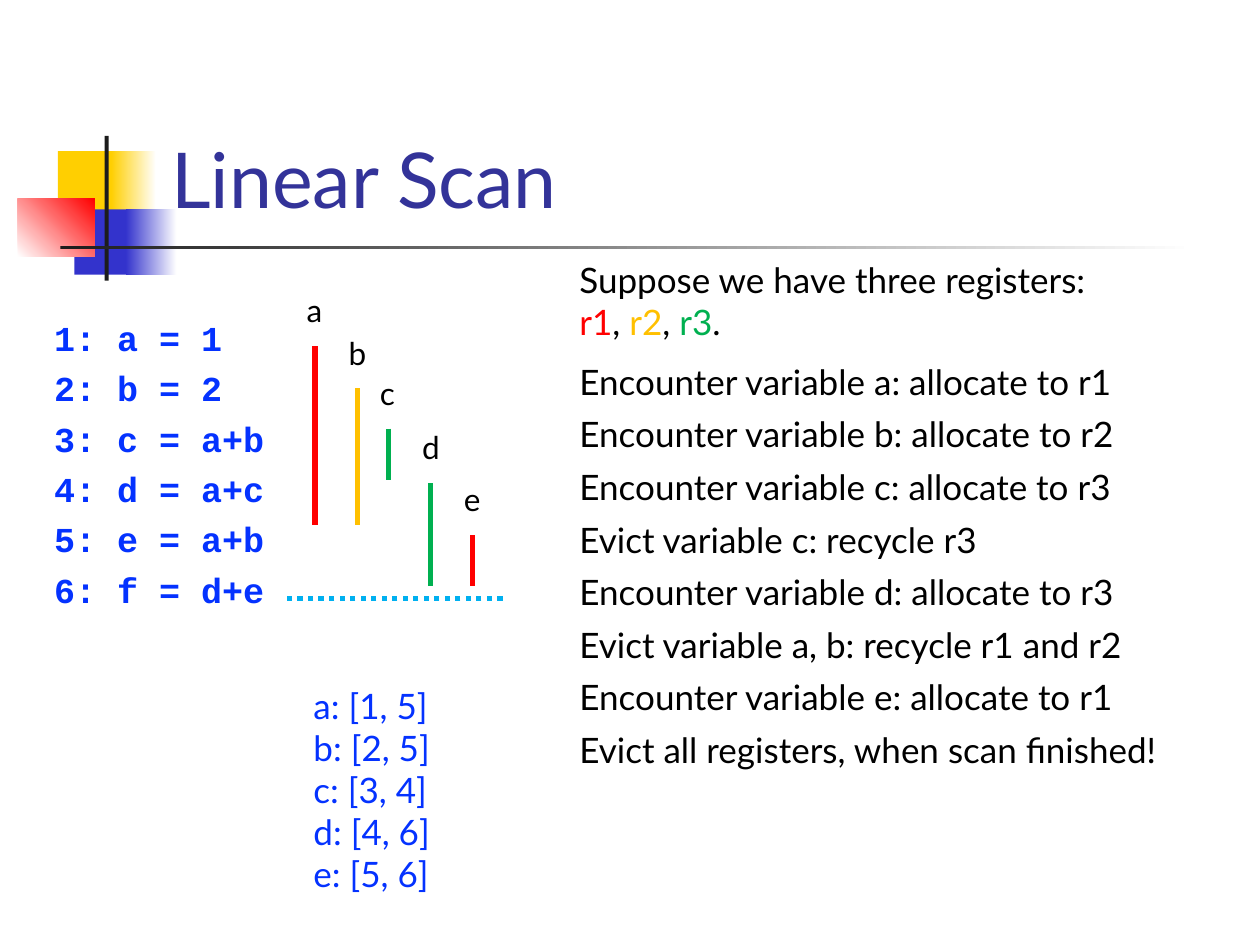
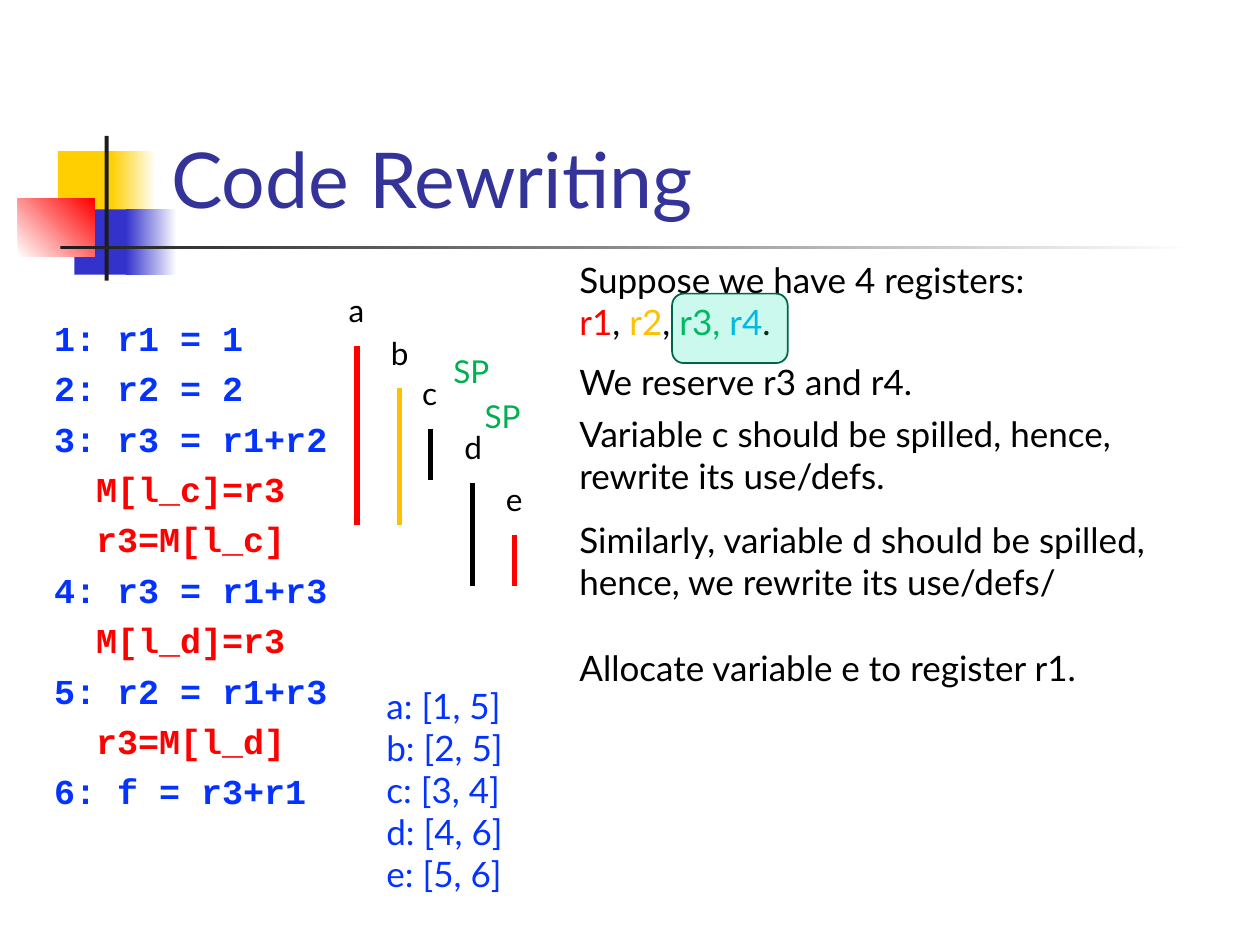
import lxml.etree
import pptx
import pptx.dml.color
import pptx.enum.dml
import pptx.enum.shapes
import pptx.enum.text
import pptx.oxml.ns
import pptx.util

Cm = pptx.util.Cm
Pt = pptx.util.Pt
RGBColor = pptx.dml.color.RGBColor
qn = pptx.oxml.ns.qn
Shapes = pptx.enum.shapes.MSO_SHAPE

BLACK = RGBColor(0x00, 0x00, 0x00)
WHITE = RGBColor(0xFF, 0xFF, 0xFF)
RED = RGBColor(0xFF, 0x00, 0x00)
AMBER = RGBColor(0xFF, 0xC0, 0x00)
GREEN = RGBColor(0x00, 0xB0, 0x50)
SKY = RGBColor(0x00, 0xB0, 0xF0)
CODE_BLUE = RGBColor(0x04, 0x32, 0xFF)
TITLE_BLUE = RGBColor(0x33, 0x33, 0x99)
BAND_YELLOW = RGBColor(0xFF, 0xCF, 0x01)
BAND_BLUE = RGBColor(0x33, 0x33, 0xCC)
BAND_DARK = RGBColor(0x1C, 0x1C, 0x1C)
MINT = RGBColor(0x00, 0xE4, 0xA8)
DARK_GREEN = RGBColor(0x00, 0x64, 0x4A)

TEXT_FONT = "Lato"
CODE_FONT = "Courier New"
STEP_LEFT, STEP_TOP, STEP_PITCH = 11.43, 7.14, 1.06
STEP_WIDTH = 13.41

BANDS = [
    (1.17, 3.05, 1.22, 1.32, [BAND_YELLOW], 0),
    (2.24, 3.05, 0.91, 1.32, [BAND_YELLOW, WHITE], 0),
    (1.5, 4.22, 1.17, 1.32, [BAND_BLUE], 0),
    (2.54, 4.22, 1.02, 1.32, [BAND_BLUE, WHITE], 0),
    (0.36, 4.01, 1.55, 1.17, [WHITE, RED], 45),
    (2.11, 2.74, 0.08, 2.92, [BAND_DARK], 0),
    (1.22, 4.95, 22.86, 0.08, [BAND_DARK, WHITE], 0),
]

LIFETIMES = [
    ("a", 6.35, 6.98, 10.58),
    ("b", 7.2, 7.83, 10.58),
    ("c", 7.83, 8.64, 9.67),
    ("d", 8.68, 9.74, 11.81),
    ("e", 9.52, 10.79, 11.81),
]
INTERVALS = ["a: [1, 5]", "b: [2, 5]", "c: [3, 4]", "d: [4, 6]", "e: [5, 6]"]


def add_block(page, kind, left, top, width, height):
    block = page.shapes.add_shape(kind, Cm(left), Cm(top), Cm(width), Cm(height))
    block.shadow.inherit = False
    return block


def add_bands(page, layout):
    for left, top, width, height, colors, angle in BANDS:
        band = add_block(page, Shapes.RECTANGLE, left, top, width, height)
        band.line.fill.background()
        if len(colors) == 1:
            band.fill.solid()
            band.fill.fore_color.rgb = colors[0]
        else:
            band.fill.gradient()
            band.fill.gradient_angle = angle
            for stop, color, position in zip(band.fill.gradient_stops, colors, (0, 1)):
                stop.color.rgb = color
                stop.position = position
        layout.shapes.element.append(band.element)


def set_font(paragraph, size, color, name=TEXT_FONT, bold=False):
    paragraph.font.name = name
    paragraph.font.size = Pt(size)
    paragraph.font.bold = bold
    paragraph.font.color.rgb = color


def add_page(deck, layout, title):
    page = deck.slides.add_slide(layout)
    box = page.shapes.title
    box.left, box.top, box.width, box.height = Cm(3.2), Cm(0.58), Cm(21.64), Cm(4.06)
    box.text_frame.text = title
    box.text_frame.vertical_anchor = pptx.enum.text.MSO_ANCHOR.BOTTOM
    para = box.text_frame.paragraphs[0]
    para.alignment = pptx.enum.text.PP_ALIGN.LEFT
    set_font(para, 44, TITLE_BLUE)
    return page


def add_text(page, left, top, width, height, lines, size=20, color=BLACK):
    box = page.shapes.add_textbox(Cm(left), Cm(top), Cm(width), Cm(height))
    frame = box.text_frame
    frame.word_wrap = True
    frame.auto_size = pptx.enum.text.MSO_AUTO_SIZE.SHAPE_TO_FIT_TEXT
    for index, line in enumerate(lines):
        para = frame.paragraphs[0] if index == 0 else frame.add_paragraph()
        set_font(para, size, color)
        if isinstance(line, str):
            para.text = line
            continue
        for text, span_color in line:
            span = para.add_run()
            span.text = text
            span.font.color.rgb = span_color
    return box


def add_code(page, width, lines):
    box = add_text(page, 0.84, 6.25, width, 1.02 * len(lines), lines)
    for index, para in enumerate(box.text_frame.paragraphs):
        color = RED if para.text.startswith(" ") else CODE_BLUE
        set_font(para, 20, color, CODE_FONT, bold=True)
        para.line_spacing = Pt(24)
        para.space_before = Pt(4.8 if index else 0)


def add_line(page, start, end, color):
    line = page.shapes.add_connector(
        pptx.enum.shapes.MSO_CONNECTOR.STRAIGHT, *map(Cm, start + end)
    )
    line.line.color.rgb = color
    line.line.width = Pt(3)
    lxml.etree.SubElement(line.element.spPr, qn("a:effectLst"))
    return line


def add_label(page, left, top, text, color=BLACK):
    add_text(page, left, top, 1.5, 1.02, [text], 18, color)


def add_lifetimes(page, colors, shift=0):
    for (name, x, top, bottom), color in zip(LIFETIMES, colors):
        add_line(page, (x + shift, top), (x + shift, bottom), color)
        add_label(page, x + shift - 0.42, top - 1.23, name)


def add_intervals(page, left):
    add_text(page, left, 13.67, STEP_WIDTH, 4.52, INTERVALS, color=CODE_BLUE)


def add_registers(page, heading, registers):
    add_text(page, STEP_LEFT, 5.08, STEP_WIDTH, 1.96, [heading, registers])


def add_step(page, row, text):
    top = STEP_TOP + row * STEP_PITCH
    add_text(page, STEP_LEFT, top, STEP_WIDTH, 1.12, [text])


def add_reserved_mark(page):
    mark = add_block(page, Shapes.ROUNDED_RECTANGLE, 13.55, 5.92, 2.33, 1.4)
    mark.fill.solid()
    mark.fill.fore_color.rgb = MINT
    mark.line.color.rgb = DARK_GREEN
    mark.line.width = Pt(1)
    color = mark.element.spPr.find(qn("a:solidFill")).find(qn("a:srgbClr"))
    lxml.etree.SubElement(color, qn("a:alpha")).set("val", "20000")


def build_linear_scan(page):
    add_code(page, 5.4, [
        "1: a = 1",
        "2: b = 2",
        "3: c = a+b",
        "4: d = a+c",
        "5: e = a+b",
        "6: f = d+e",
    ])
    add_lifetimes(page, [RED, AMBER, GREEN, GREEN, RED])
    add_intervals(page, 6.07)
    add_registers(page, "Suppose we have three registers:", [
        ("r1", RED), (", ", BLACK), ("r2", AMBER), (", ", BLACK),
        ("r3", GREEN), (".", BLACK),
    ])
    scan_end = add_line(page, (10.13, 12.07), (5.72, 12.07), SKY)
    scan_end.line.dash_style = pptx.enum.dml.MSO_LINE.ROUND_DOT
    steps = [
        "Encounter variable a: allocate to r1",
        "Encounter variable b: allocate to r2",
        "Encounter variable c: allocate to r3",
        "Evict variable c: recycle r3",
        "Encounter variable d: allocate to r3",
        "Evict variable a, b: recycle r1 and r2",
        "Encounter variable e: allocate to r1",
        "Evict all registers, when scan finished!",
    ]
    for row, step in enumerate(steps):
        add_step(page, row, step)


def build_code_rewriting(page):
    add_code(page, 6.6, [
        "1: r1 = 1",
        "2: r2 = 2",
        "3: r3 = r1+r2",
        "  M[l_c]=r3",
        "  r3=M[l_c]",
        "4: r3 = r1+r3",
        "  M[l_d]=r3",
        "5: r2 = r1+r3",
        "  r3=M[l_d]",
        "6: f = r3+r1",
    ])
    add_lifetimes(page, [RED, AMBER, BLACK, BLACK, RED], shift=0.85)
    add_intervals(page, 7.54)
    add_registers(page, "Suppose we have 4 registers:", [
        ("r1", RED), (", ", BLACK), ("r2", AMBER), (", ", BLACK),
        ("r3, ", GREEN), ("r4", SKY), (".", BLACK),
    ])
    steps = [
        (0, "We reserve r3 and r4."),
        (1, "Variable c should be spilled, hence, rewrite its use/defs."),
        (3, "Similarly, variable d should be spilled, hence, we rewrite its use/defs/"),
        (5.44, "Allocate variable e to register r1."),
    ]
    for row, step in steps:
        add_step(page, row, step)
    add_reserved_mark(page)
    for left, top in [(8.89, 6.98), (9.52, 7.87)]:
        add_label(page, left, top, "SP", GREEN)


def main():
    deck = pptx.Presentation()
    deck.slide_width, deck.slide_height = Cm(25.4), Cm(19.05)
    layout = deck.slide_layouts[5]
    scan_page = add_page(deck, layout, "Linear Scan")
    add_bands(scan_page, layout)
    build_linear_scan(scan_page)
    build_code_rewriting(add_page(deck, layout, "Code Rewriting"))
    deck.save("out.pptx")


if __name__ == "__main__":
    main()
